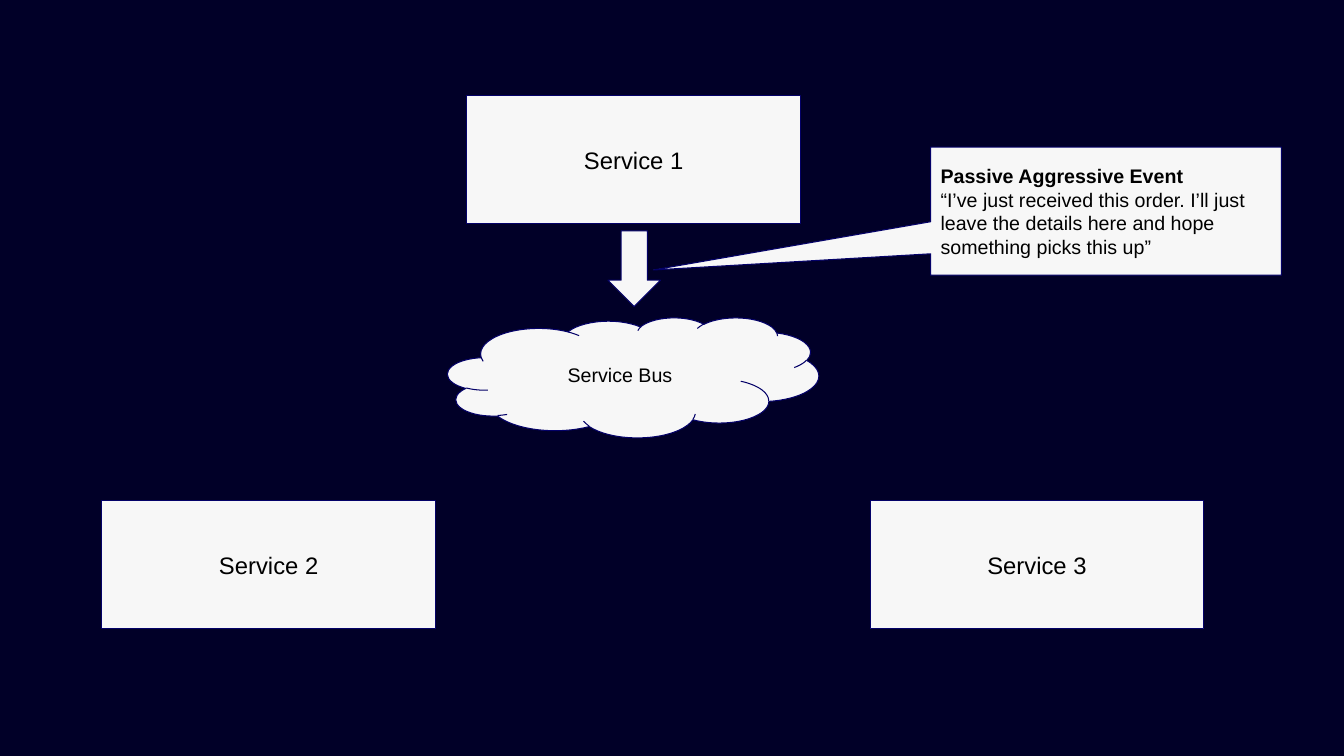
from pptx import Presentation
from pptx import util as u
from pptx.dml.color import RGBColor
from pptx.enum import shapes, text

COLORS = {"back": "010028", "fill": "F7F7F7", "line": "040168", "text": "000000"}
KIND = shapes.MSO_SHAPE


class Board:
    """Holds the slide and the style of its parts."""

    font = "Arial"
    inset = u.Inches(0.1)

    def __init__(self, slide):
        self.slide = slide
        back = slide.background.fill
        back.solid()
        back.fore_color.rgb = self.color("back")

    def color(self, name):
        return RGBColor.from_string(COLORS[name])

    def shape(self, kind, *place):
        shape = self.slide.shapes.add_shape(kind, *map(u.Inches, place))
        shape.shadow.inherit = False
        shape.fill.solid()
        shape.fill.fore_color.rgb = self.color("fill")
        shape.line.color.rgb = self.color("line")
        shape.line.width = u.Pt(0.75)
        return shape

    def label(self, shape, words, size, align=text.PP_ALIGN.CENTER):
        frame = shape.text_frame
        frame.word_wrap = True
        frame.vertical_anchor = text.MSO_ANCHOR.MIDDLE
        frame.margin_left = frame.margin_right = self.inset
        frame.margin_top = frame.margin_bottom = self.inset
        para = frame.paragraphs[0]
        para.text = words
        para.alignment = align
        for part in (para, *para.runs):
            part.font.name = self.font
            part.font.size = u.Pt(size)
            part.font.color.rgb = self.color("text")
        return para

    def service(self, name, left, top):
        self.label(self.shape(KIND.RECTANGLE, left, top, 3.31, 1.27), name, 17)

    def cloud(self, name, *place):
        self.label(self.shape(KIND.CLOUD, *place), name, 14)

    def arrow(self, *place):
        self.shape(KIND.DOWN_ARROW, *place)

    def callout(self, title, quote, tip, *place):
        shape = self.shape(KIND.RECTANGULAR_CALLOUT, *place)
        shape.adjustments[0], shape.adjustments[1] = tip
        para = self.label(shape, f"{title}\v{quote}", 14, text.PP_ALIGN.LEFT)
        para.runs[0].font.bold = True


def main():
    deck = Presentation()
    deck.slide_width, deck.slide_height = u.Inches(13.33), u.Inches(7.5)
    board = Board(deck.slides.add_slide(deck.slide_layouts[6]))

    # Services
    spots = [(4.63, 0.95), (1.01, 4.97), (8.63, 4.97)]
    for num, (left, top) in enumerate(spots, 1):
        board.service(f"Service {num}", left, top)

    # Bus and the event sent to it
    board.cloud("Service Bus", 4.44, 3.15, 3.68, 1.19)
    board.arrow(6.03, 2.29, 0.52, 0.75)
    board.callout(
        "Passive Aggressive Event",
        "“I’ve just received this order. I’ll just leave the details here "
        "and hope something picks this up”",
        (-1.29, 0.46), 9.23, 1.46, 3.48, 1.27)

    deck.save("out.pptx")


if __name__ == "__main__":
    main()
